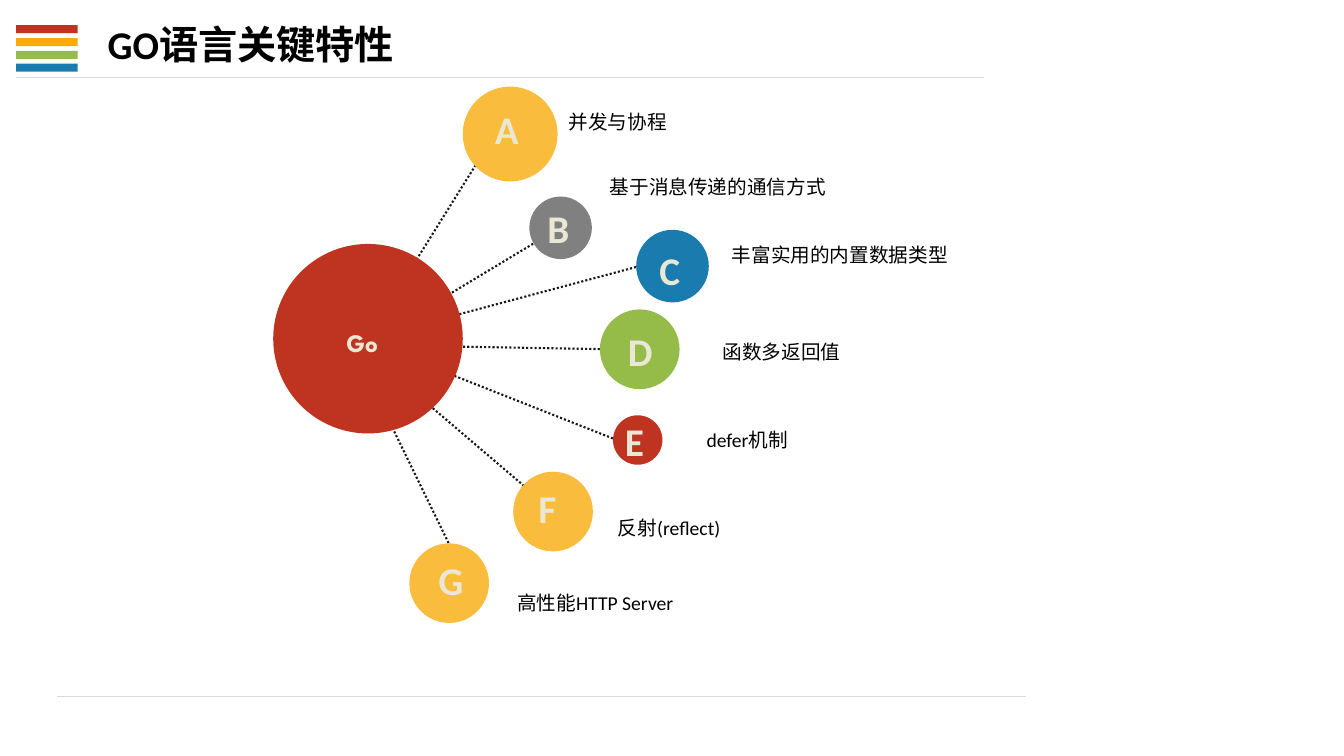
import pptx
import pptx.dml.color
import pptx.enum.dml
import pptx.enum.shapes
import pptx.enum.text
import pptx.oxml.ns
import pptx.util
from lxml import etree
from pptx.util import Inches

RED, YELLOW, BLUE, GREEN, GRAY = "BF3420", "FABC3D", "1A7BAE", "95BC49", "808080"
ORANGE, CREAM, BLACK, INK, RULE = "FDA907", "EAE7D4", "000000", "181715", "D9D9D9"
OVAL = pptx.enum.shapes.MSO_SHAPE.OVAL
RECTANGLE = pptx.enum.shapes.MSO_SHAPE.RECTANGLE

# letter, colour, circle (left, top, diameter), letter box, label, label box, spoke
FEATURES = [
    ("A", YELLOW, (4.59, 0.86, 0.94), (4.81, 1, 0.44),
     "并发与协程", (5.54, 1.04, 6.15), (3.91, 2.93, 4.91, 1.33)),
    ("B", GRAY, (5.25, 1.95, 0.62), (5.33, 1.98, 0.42),
     "基于消息传递的通信方式", (5.95, 1.69, 6.04), (4.09, 3.14, 5.4, 2.35)),
    ("C", BLUE, (6.31, 2.28, 0.72), (6.44, 2.39, 0.41),
     "丰富实用的内置数据类型", (7.16, 2.36, 5.86), (3.87, 3.3, 6.68, 2.55)),
    ("D", GREEN, (5.95, 3.07, 0.79), (6.13, 3.2, 0.45),
     "函数多返回值", (7.07, 3.32, 6.04), (4.05, 3.43, 6.31, 3.47)),
    ("E", RED, (6.08, 4.12, 0.49), (6.1, 4.09, 0.39),
     "defer机制", (6.91, 4.2, 6.1), (4.08, 3.56, 6.18, 4.39)),
    ("F", YELLOW, (5.09, 4.68, 0.79), (5.24, 4.76, 0.38),
     "反射(reflect)", (6.03, 5.07, 5.94), (4.07, 3.86, 5.49, 5.07)),
    ("G", YELLOW, (4.06, 5.39, 0.79), (4.25, 5.47, 0.45),
     "高性能HTTP Server", (5.03, 5.81, 5.94), (3.91, 4.28, 4.45, 5.39)),
]


def paint(color_format, color):
    """Apply a hex colour to a colour format."""
    color_format.rgb = pptx.dml.color.RGBColor.from_string(color)


def add_block(slide, kind, left, top, width, height, color):
    """Add a filled shape without outline or shadow."""
    shape = slide.shapes.add_shape(
        kind, Inches(left), Inches(top), Inches(width), Inches(height))
    shape.shadow.inherit = False
    shape.fill.solid()
    paint(shape.fill.fore_color, color)
    shape.line.fill.background()


def add_line(slide, ends, color, width, dash=None):
    """Add a straight line between two points."""
    connector = slide.shapes.add_connector(
        pptx.enum.shapes.MSO_CONNECTOR.STRAIGHT, *[Inches(value) for value in ends])
    paint(connector.line.color, color)
    connector.line.width = pptx.util.Pt(width)
    if dash is not None:
        connector.line.dash_style = dash
    etree.SubElement(connector._element.spPr, pptx.oxml.ns.qn("a:effectLst"))


def add_text(slide, text, box, height, size, color, bold=False, wrap=True, font="Calibri"):
    """Add one line of text in a box given as left, top and width."""
    left, top, width = box
    textbox = slide.shapes.add_textbox(
        Inches(left), Inches(top), Inches(width), Inches(height))
    text_frame = textbox.text_frame
    text_frame.text = text
    text_frame.word_wrap = wrap
    text_frame.auto_size = pptx.enum.text.MSO_AUTO_SIZE.SHAPE_TO_FIT_TEXT
    run_font = text_frame.paragraphs[0].runs[0].font
    run_font.name = font
    run_font.size = pptx.util.Pt(size)
    run_font.bold = bold
    paint(run_font.color, color)


def add_header(slide):
    """Add the striped mark, the title and the two rules."""
    add_line(slide, (0.16, 0.77, 9.76, 0.77), RULE, 0.5)
    add_line(slide, (0.57, 6.91, 10.18, 6.91), RULE, 0.5)
    for index, color in enumerate([RED, ORANGE, GREEN, BLUE]):
        add_block(slide, RECTANGLE, 0.16, 0.25 + 0.127 * index, 0.61, 0.08, color)
    add_text(slide, "GO语言关键特性", (0.97, 0.15, 5.35), 0.57, 28, BLACK, bold=True)


def add_features(slide):
    """Add the hub with its spokes, lettered circles and labels."""
    for *_, spoke in FEATURES:
        add_line(slide, spoke, INK, 1.5, pptx.enum.dml.MSO_LINE.ROUND_DOT)
    add_block(slide, OVAL, 2.71, 2.42, 1.88, 1.88, RED)
    add_text(slide, "Go", (3.34, 3.2, 0.58), 0.4, 18, CREAM,
             bold=True, wrap=False, font="League Spartan")
    for letter, color, circle, letter_box, label, label_box, _ in FEATURES:
        left, top, diameter = circle
        add_block(slide, OVAL, left, top, diameter, diameter, color)
        add_text(slide, letter, letter_box, 0.57, 28, CREAM, bold=True, wrap=False)
        add_text(slide, label, label_box, 0.34, 14, BLACK)


def main():
    """Build the slide and save it."""
    presentation = pptx.Presentation()
    presentation.slide_width = Inches(13.33)
    presentation.slide_height = Inches(7.5)
    slide = presentation.slides.add_slide(presentation.slide_layouts[6])
    add_header(slide)
    add_features(slide)
    presentation.save("out.pptx")


if __name__ == "__main__":
    main()
